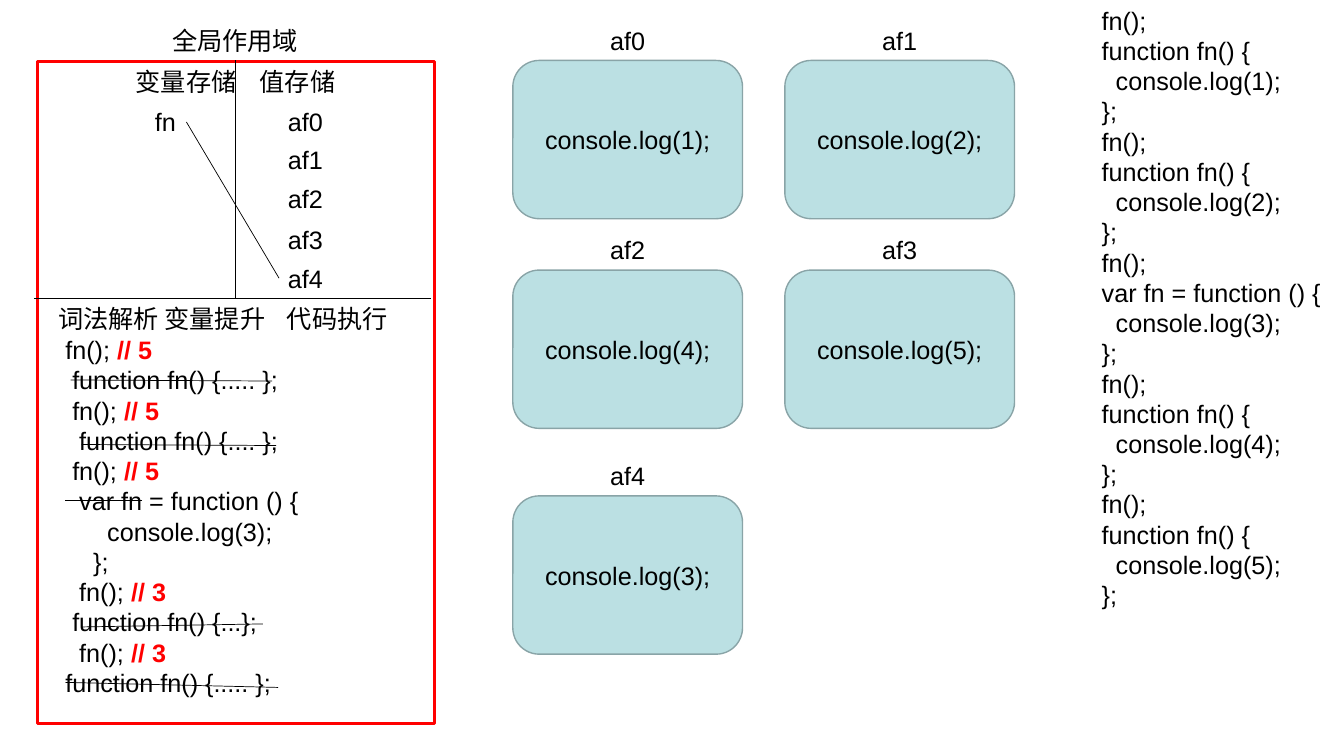
import pptx
import pptx.dml.color
import pptx.enum.shapes
import pptx.enum.text
import pptx.oxml.ns
import pptx.util
from lxml import etree
from pptx.util import Inches


def color(code):
    return pptx.dml.color.RGBColor.from_string(code)


THEME = {
    "font": "Arial",
    "size": pptx.util.Pt(18),
    "text": color("000000"),
    "accent": color("FF0000"),
    "panel": color("FFFFFF"),
    "card": color("BBE0E3"),
    "card_line": color("89A4A7"),
    "thin": pptx.util.Pt(0.5),
    "medium": pptx.util.Pt(1),
    "thick": pptx.util.Pt(2.25),
}

# Left, top, width and text of each label in the scope panel
SCOPE_LABELS = [
    (1.61, 0.2, 1.6, "全局作用域"),
    (1.25, 0.61, 1.3, "变量存储"),
    (2.48, 0.61, 1.1, "值存储"),
    (0.48, 2.96, 2.4, "词法解析 变量提升"),
    (2.75, 2.96, 1.4, "代码执行"),
    (1.44, 1.01, 0.6, "fn"),
]
STORED_VALUES = [("af0", 1.01), ("af1", 1.38), ("af2", 1.77), ("af3", 2.18), ("af4", 2.56)]

# Name, printed number, column and top of each function card
FUNCTION_CARDS = [
    ("af0", 1, 0, 0.6),
    ("af1", 2, 1, 0.6),
    ("af2", 4, 0, 2.68),
    ("af3", 5, 1, 2.68),
    ("af4", 3, 0, 4.92),
]
CARD_LEFT, CARD_STEP, CARD_WIDTH, CARD_HEIGHT = 5.09, 2.7, 2.28, 1.57
LABEL_HEIGHT = 0.4

# Code and the output noted after it
EXECUTED_CODE = [
    ("fn(); ", "// 5"),
    (" function fn() {..... };", ""),
    (" fn(); ", "// 5"),
    ("  function fn() {.... };", ""),
    (" fn(); ", "// 5"),
    ("  var fn = function () {", ""),
    ("      console.log(3);", ""),
    ("    };", ""),
    ("  fn(); ", "// 3"),
    (" function fn() {...};", ""),
    ("  fn(); ", "// 3"),
    ("function fn() {..... };", ""),
]
SOURCE_HEADS = ["function fn() {", "function fn() {", "var fn = function () {",
                "function fn() {", "function fn() {"]
SOURCE_CODE = [
    (line, "")
    for number, head in enumerate(SOURCE_HEADS, start=1)
    for line in ("    fn();", f"    {head}", f"      console.log({number});", "    };")
]

# Start x, start y, end x, end y
DIVIDERS = [(0.34, 2.96, 4.28, 2.96), (2.34, 0.6, 2.34, 2.96)]
REFERENCE_LINE = (1.85, 1.21, 2.77, 2.76)
STRIKES = [
    (0.7, 3.77, 2.7, 3.78),
    (2.74, 4.42, 0.81, 4.41),
    (1.41, 4.96, 0.65, 4.96),
    (2.61, 6.19, 0.81, 6.22),
    (2.76, 6.82, 0.65, 6.77),
]


def style_paragraph(para, centered=False):
    align = pptx.enum.text.PP_ALIGN
    para.alignment = align.CENTER if centered else align.LEFT
    para.font.name = THEME["font"]
    para.font.size = THEME["size"]
    para.font.color.rgb = THEME["text"]


def add_text(slide, left, top, width, height, lines, centered=False):
    """Add a text box from (text, red note) pairs, one paragraph each."""
    box = slide.shapes.add_textbox(Inches(left), Inches(top), Inches(width), Inches(height))
    frame = box.text_frame
    frame.word_wrap = True
    for index, (text, note) in enumerate(lines):
        para = frame.paragraphs[0] if index == 0 else frame.add_paragraph()
        style_paragraph(para, centered)
        para.add_run().text = text
        if note:
            span = para.add_run()
            span.text = note
            span.font.bold = True
            span.font.color.rgb = THEME["accent"]


def add_block(slide, kind, left, top, width, height, fill, line, line_width):
    block = slide.shapes.add_shape(kind, Inches(left), Inches(top), Inches(width), Inches(height))
    block.shadow.inherit = False
    block.fill.solid()
    block.fill.fore_color.rgb = fill
    block.line.color.rgb = line
    block.line.width = line_width
    return block


def add_line(slide, ends):
    line = slide.shapes.add_connector(
        pptx.enum.shapes.MSO_CONNECTOR.STRAIGHT, *(Inches(value) for value in ends))
    line.line.color.rgb = THEME["text"]
    line.line.width = THEME["thin"]
    etree.SubElement(line._element.spPr, pptx.oxml.ns.qn("a:effectLst"))


def add_card(slide, name, number, column, top):
    left = CARD_LEFT + column * CARD_STEP
    card = add_block(slide, pptx.enum.shapes.MSO_SHAPE.ROUNDED_RECTANGLE,
                     left, top, CARD_WIDTH, CARD_HEIGHT,
                     THEME["card"], THEME["card_line"], THEME["medium"])
    card.text_frame.text = f"console.log({number});"
    card.text_frame.vertical_anchor = pptx.enum.text.MSO_ANCHOR.MIDDLE
    style_paragraph(card.text_frame.paragraphs[0], centered=True)
    add_text(slide, left, top - LABEL_HEIGHT, CARD_WIDTH, LABEL_HEIGHT,
             [(name, "")], centered=True)


def main():
    deck = pptx.Presentation()
    deck.slide_width, deck.slide_height = Inches(13.34), Inches(7.5)
    page = deck.slides.add_slide(deck.slide_layouts[6])

    add_text(page, 10.56, 0, 2.78, 6.1, SOURCE_CODE)
    add_block(page, pptx.enum.shapes.MSO_SHAPE.RECTANGLE, 0.37, 0.61, 3.94, 6.57,
              THEME["panel"], THEME["accent"], THEME["thick"])
    for left, top, width, text in SCOPE_LABELS:
        add_text(page, left, top, width, LABEL_HEIGHT, [(text, "")])
    for name, top in STORED_VALUES:
        add_text(page, 2.76, top, 0.7, LABEL_HEIGHT, [(name, "")])
    for card in FUNCTION_CARDS:
        add_card(page, *card)
    add_text(page, 0.55, 3.27, 3.2, 3.73, EXECUTED_CODE)
    for ends in [*DIVIDERS, REFERENCE_LINE, *STRIKES]:
        add_line(page, ends)

    deck.save("out.pptx")


if __name__ == "__main__":
    main()
